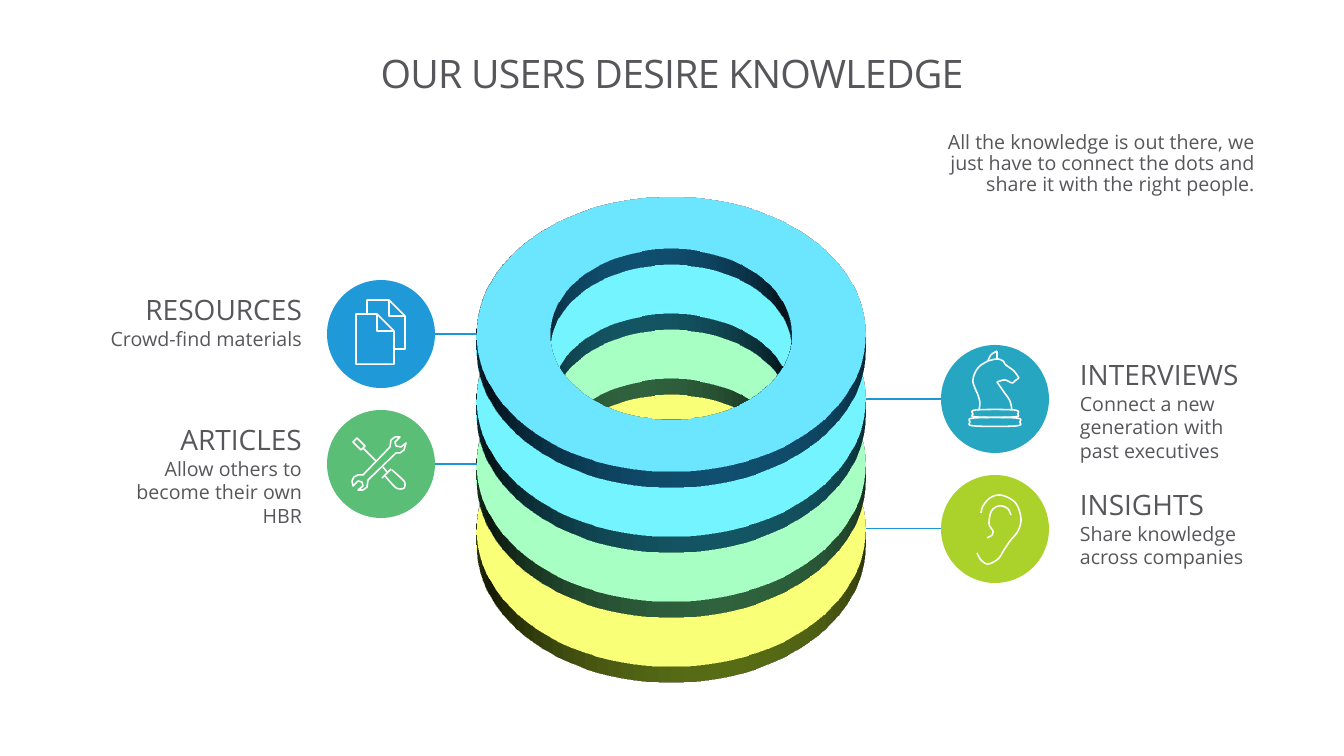
from lxml import etree
from pptx import Presentation
from pptx.dml.color import RGBColor
from pptx.enum.shapes import MSO_CONNECTOR as CONN, MSO_SHAPE as SHAPE
from pptx.enum.text import MSO_ANCHOR as ANCHOR, MSO_AUTO_SIZE as AUTO, PP_ALIGN as ALIGN
from pptx.oxml import parse_xml
from pptx.oxml.ns import nsdecls, qn
from pptx.util import Pt

PX = 914400 / 100.8
FONT = "Open Sans"
INK = RGBColor(0x57, 0x56, 0x5A)
WHITE = RGBColor(0xFF, 0xFF, 0xFF)
RULE = RGBColor(0x1B, 0x97, 0xD8)
BLUE = RGBColor(0x20, 0x99, 0xD8)
TEAL = RGBColor(0x27, 0xA6, 0xC2)
GREEN = RGBColor(0x5B, 0xBE, 0x77)
LIME = RGBColor(0xAB, 0xD2, 0x2A)

TITLE = "OUR USERS DESIRE KNOWLEDGE"
INTRO = ("All the knowledge is out there, we just have to connect the dots "
         "and share it with the right people.")

TOPICS = [
    ("RESOURCES", "Crowd-find materials", BLUE, "left", (85, 227, 68)),
    ("INTERVIEWS", "Connect a new generation with past executives", TEAL, "right", (1070, 205, 115)),
    ("ARTICLES", "Allow others to become their own HBR", GREEN, "left", (85, 227, 92)),
    ("INSIGHTS", "Share knowledge across companies", LIME, "right", (1070, 229, 92)),
]

STRAIGHT, CURVED = False, True
PAGES = [
    (STRAIGHT, [(367, 314), (367, 300), (389, 300), (405, 316), (405, 349), (394, 349)]),
    (STRAIGHT, [(389, 300), (389, 316), (405, 316)]),
    (STRAIGHT, [(356, 314), (377, 314), (394, 331), (394, 364), (356, 364), (356, 314)]),
    (STRAIGHT, [(377, 314), (377, 331), (394, 331)]),
]
KNIGHT = [
    (CURVED, [(979, 410), (980, 403), (978, 395), (975, 388), (973, 381), (975, 373),
              (980, 366), (988, 361)]),
    (CURVED, [(988, 361), (991, 355), (997, 351)]),
    (STRAIGHT, [(997, 351), (997, 359)]),
    (CURVED, [(988, 361), (997, 359), (1003, 361), (1006, 365), (1014, 371), (1019, 378)]),
    (CURVED, [(1019, 378), (1015, 381), (1012, 383), (1005, 380), (997, 382)]),
    (CURVED, [(997, 382), (1004, 392), (1010, 401), (1012, 410)]),
    (CURVED, [(976, 410), (1014, 410), (1018, 414), (1014, 417), (976, 417), (973, 414), (976, 410)]),
    (CURVED, [(974, 418), (1016, 418), (1020, 422), (1016, 426), (974, 426), (970, 422), (974, 418)]),
]
TOOLS = [
    (STRAIGHT, [(368, 480), (396, 453), (400, 453), (404, 450), (406, 443), (401, 447),
                (396, 446), (395, 442), (400, 437), (395, 437), (391, 440), (390, 447),
                (363, 475), (358, 475), (354, 477), (352, 481), (353, 486), (358, 481),
                (362, 482), (363, 486), (358, 490), (363, 490), (367, 487), (368, 480)]),
    (STRAIGHT, [(353, 442), (357, 438), (365, 446), (361, 450), (353, 442)]),
    (STRAIGHT, [(363, 448), (376, 461)]),
    (STRAIGHT, [(383, 467), (387, 472)]),
    (STRAIGHT, [(382, 478), (391, 469)]),
    (CURVED, [(385, 476), (395, 487), (400, 489), (404, 488), (405, 484), (403, 480), (392, 470)]),
]
EAR = [
    (CURVED, [(981, 513), (983, 506), (990, 498), (999, 495), (1009, 498), (1017, 505),
              (1021, 519), (1018, 531), (1010, 541), (1004, 550), (998, 559), (988, 564),
              (981, 560), (977, 553)]),
    (CURVED, [(987, 538), (992, 535), (993, 531), (991, 528), (989, 523), (991, 512),
              (996, 507), (1002, 506), (1008, 509), (1011, 515)]),
]
ICONS = [PAGES, KNIGHT, TOOLS, EAR]

STEP = 65
RING_LEFT, RING_TOP, RING_SIZE = 477, 140, 389
DISC_TOP, DISC_SIZE = 280, 108
DISC_LEFT = {"left": 327, "right": 941}
SCENE = (f'<a:scene3d {nsdecls("a")}><a:camera prst="orthographicFront">'
         '<a:rot lat="18900000" lon="0" rev="0"/></a:camera>'
         '<a:lightRig rig="threePt" dir="t"/></a:scene3d>')
DEPTH = f'<a:sp3d {nsdecls("a")} extrusionH="203200"/>'


def emu(*lengths):
    return [round(n * PX) for n in lengths]


def add_preset(s, kind, box, color):
    sp = s.shapes.add_shape(kind, *emu(*box))
    sp.shadow.inherit = False
    sp.fill.solid()
    sp.fill.fore_color.rgb = color
    sp.line.fill.background()
    return sp


def add_ring(s, row, color):
    box = (RING_LEFT, RING_TOP + STEP * row, RING_SIZE, RING_SIZE)
    sp = add_preset(s, SHAPE.DONUT, box, color)
    sp.adjustments[0] = 0.19
    for xml in (SCENE, DEPTH):
        sp._element.spPr.append(parse_xml(xml))


def add_text(s, box, lines, align, spacing=None, auto=AUTO.SHAPE_TO_FIT_TEXT):
    sp = s.shapes.add_textbox(*emu(*box))
    tf = sp.text_frame
    tf.word_wrap = True
    tf.auto_size = auto
    for i, (text, size) in enumerate(lines):
        p = tf.paragraphs[0] if i == 0 else tf.add_paragraph()
        p.alignment = align
        if spacing:
            p.line_spacing = spacing
        r = p.add_run()
        r.text = text
        r.font.name, r.font.size, r.font.color.rgb = FONT, Pt(size), INK
    return tf


def add_rule(s, x1, x2, y):
    line = s.shapes.add_connector(CONN.STRAIGHT, *emu(x1, y, x2, y))
    line.line.color.rgb = RULE
    line.line.width = Pt(0.75)
    etree.SubElement(line._element.spPr, qn("a:effectLst"))


def smooth(points, parts=6):
    closed = points[0] == points[-1]
    before = points[-2] if closed else points[0]
    after = points[1] if closed else points[-1]
    pts = [before, *points, after]
    out = [points[0]]
    for a, b, c, d in zip(pts, pts[1:], pts[2:], pts[3:]):
        for k in range(1, parts + 1):
            t = k / parts
            out.append(tuple(
                (2 * q + (r - p) * t + (2 * p - 5 * q + 4 * r - u) * t ** 2
                 + (3 * q - p - 3 * r + u) * t ** 3) / 2
                for p, q, r, u in zip(a, b, c, d)))
    return out


def add_icon(s, strokes):
    builder = None
    for curved, points in strokes:
        start, *rest = [emu(*pt) for pt in (smooth(points) if curved else points)]
        if builder is None:
            builder = s.shapes.build_freeform(*start, scale=1.0)
        else:
            builder.move_to(*start)
        builder.add_line_segments(rest, close=False)
    sp = builder.convert_to_shape()
    sp.shadow.inherit = False
    sp.fill.background()
    sp.line.color.rgb = WHITE
    sp.line.width = Pt(1.1)


def main():
    prs = Presentation()
    prs.slide_width, prs.slide_height = emu(1344, 756)
    s = prs.slides.add_slide(prs.slide_layouts[6])

    for row in reversed(range(len(TOPICS))):
        add_ring(s, row, TOPICS[row][2])

    for row, (head, body, color, side, (x, w, h)) in enumerate(TOPICS):
        top, left = DISC_TOP + STEP * row, DISC_LEFT[side]
        add_preset(s, SHAPE.OVAL, (left, top, DISC_SIZE, DISC_SIZE), color)
        align = ALIGN.RIGHT if side == "left" else ALIGN.LEFT
        add_text(s, (x, top + 8, w, h), [(head, 20), (body, 14)], align)
        ends = (left + DISC_SIZE, RING_LEFT) if side == "left" else (left, RING_LEFT + RING_SIZE)
        add_rule(s, *ends, top + DISC_SIZE // 2)
        add_icon(s, ICONS[row])

    tf = add_text(s, (914, 128, 354, 76), [(INTRO, 14)], ALIGN.RIGHT, 0.89)
    tf.margin_left, tf.margin_top, tf.margin_right, tf.margin_bottom = emu(13, 5, 13, 7)

    tf = add_text(s, (101, 31, 1142, 90), [(TITLE, 28)], ALIGN.CENTER, 0.86, AUTO.NONE)
    tf.margin_left = tf.margin_top = tf.margin_right = tf.margin_bottom = 0
    tf.vertical_anchor = ANCHOR.MIDDLE
    tf.paragraphs[0].runs[0].font._element.set("spc", "-50")

    prs.save("out.pptx")


if __name__ == "__main__":
    main()
